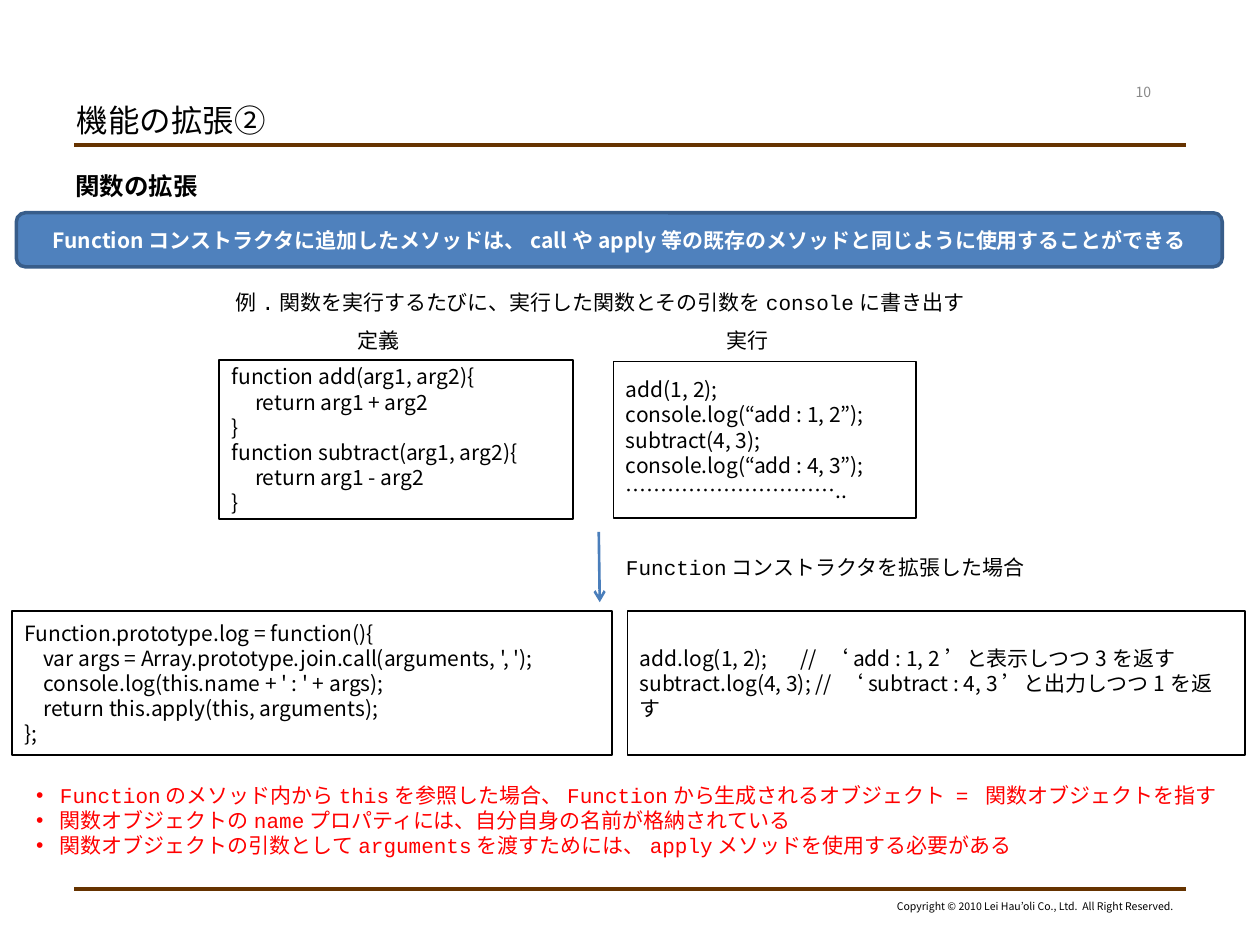
"""Build the slide on extending functions through the Function constructor."""
from lxml import etree
from pptx import Presentation, util as u
from pptx.dml.color import RGBColor
from pptx.enum import shapes, text
from pptx.oxml.ns import qn

BLACK, WHITE, RED, GREY = "000000", "FFFFFF", "FF0000", "898989"
BROWN, BLUE, NAVY, ARROW_BLUE = "663300", "4F81BD", "385D8A", "4A7EBB"
SANS, MONO = "Noto Sans CJK JP", "Courier New"
LEFT, CENTER, RIGHT = text.PP_ALIGN.LEFT, text.PP_ALIGN.CENTER, text.PP_ALIGN.RIGHT
TOP, MIDDLE = text.MSO_ANCHOR.TOP, text.MSO_ANCHOR.MIDDLE


def color(value):
    return RGBColor.from_string(value)


def add_bullet(paragraph, value):
    properties = paragraph._p.get_or_add_pPr()
    properties.set("marL", str(u.Cm(0.48)))
    properties.set("indent", str(-u.Cm(0.48)))
    bullet_color = etree.SubElement(properties, qn("a:buClr"))
    etree.SubElement(bullet_color, qn("a:srgbClr"), val=value)
    etree.SubElement(properties, qn("a:buFont"), typeface="Arial")
    etree.SubElement(properties, qn("a:buChar"), char="•")


def write(shape, lines, size=12, font=SANS, ink=BLACK, bold=False, align=LEFT,
          anchor=TOP, wrap=True, bullets=False):
    frame = shape.text_frame
    frame.word_wrap = wrap
    frame.vertical_anchor = anchor
    for index, line in enumerate(lines.split("\n")):
        paragraph = frame.paragraphs[0] if index == 0 else frame.add_paragraph()
        paragraph.alignment = align
        paragraph.line_spacing = u.Pt(size * 1.2)
        if bullets:
            add_bullet(paragraph, ink)
        run = paragraph.add_run()
        run.text = line
        run.font.name, run.font.size, run.font.bold = font, u.Pt(size), bold
        run.font.color.rgb = color(ink)
        etree.SubElement(run._r.get_or_add_rPr(), qn("a:ea"), typeface=SANS)


class SlideBuilder:
    def __init__(self, slide, font=SANS):
        self.slide = slide
        self.font = font

    def label(self, lines, left, top, width, height, **style):
        shape = self.slide.shapes.add_textbox(*map(u.Cm, (left, top, width, height)))
        write(shape, lines, **{"font": self.font, **style})

    def box(self, lines, left, top, width, height, kind="RECTANGLE", fill=None,
            line=BLACK, weight=1, **style):
        shape = self.slide.shapes.add_shape(
            shapes.MSO_SHAPE[kind], *map(u.Cm, (left, top, width, height)))
        shape.shadow.inherit = False
        if fill:
            shape.fill.solid()
            shape.fill.fore_color.rgb = color(fill)
        else:
            shape.fill.background()
        shape.line.color.rgb = color(line)
        shape.line.width = u.Pt(weight)
        write(shape, lines, **{"font": self.font, "anchor": MIDDLE, **style})

    def line(self, x1, y1, x2, y2, ink, weight, arrow=False):
        connector = self.slide.shapes.add_connector(
            shapes.MSO_CONNECTOR.STRAIGHT, *map(u.Cm, (x1, y1, x2, y2)))
        connector.line.color.rgb = color(ink)
        connector.line.width = u.Pt(weight)
        if arrow:
            etree.SubElement(connector.line._get_or_add_ln(), qn("a:tailEnd"), type="arrow")
        etree.SubElement(connector._element.spPr, qn("a:effectLst"))


DEFINITION = """function add(arg1, arg2){
     return arg1 + arg2
}
function subtract(arg1, arg2){
     return arg1 - arg2
}"""
EXECUTION = """add(1, 2);
console.log(“add : 1, 2”);
subtract(4, 3);
console.log(“add : 4, 3”);
………………………….."""
LOG_METHOD = """Function.prototype.log = function(){
    var args = Array.prototype.join.call(arguments, ', ');
    console.log(this.name + ' : ' + args);
    return this.apply(this, arguments);
};"""
LOG_CALLS = """add.log(1, 2);       // ‘add : 1, 2’と表示しつつ3を返す
subtract.log(4, 3); // ‘subtract : 4, 3’と出力しつつ1を返す"""
NOTES = """Functionのメソッド内からthisを参照した場合、Functionから生成されるオブジェクト = 関数オブジェクトを指す
関数オブジェクトのnameプロパティには、自分自身の名前が格納されている
関数オブジェクトの引数としてargumentsを渡すためには、applyメソッドを使用する必要がある"""
BANNER = "Functionコンストラクタに追加したメソッドは、callやapply等の既存のメソッドと同じように使用することができる"
CAPTIONS = (
    ("例.関数を実行するたびに、実行した関数とその引数をconsoleに書き出す", 4.5, 5.72, 15.21),
    ("定義", 6.96, 6.48, 1.35),
    ("実行", 14.4, 6.48, 1.35),
    ("Functionコンストラクタを拡張した場合", 12.37, 11.05, 8.56),
)
CODE_BOXES = (
    (DEFINITION, 4.42, 7.26, 7.14, 3.2),
    (EXECUTION, 12.37, 7.29, 6.1, 3.15),
    (LOG_METHOD, 0.25, 12.32, 12.09, 2.9),
    (LOG_CALLS, 12.65, 12.32, 12.45, 2.9),
)


def main():
    presentation = Presentation()
    presentation.slide_width, presentation.slide_height = u.Cm(25.4), u.Cm(19.05)
    builder = SlideBuilder(presentation.slides.add_slide(presentation.slide_layouts[6]))

    for y in (2.92, 17.93):
        builder.line(1.5, y, 23.9, y, BROWN, 2.25)
    builder.label("Copyright © 2010 Lei Hau’oli Co., Ltd.  All Right Reserved.",
                  17.75, 18.01, 6.15, 0.51, size=6, align=RIGHT, wrap=False)
    builder.label("機能の拡張②", 1.3, 1.93, 14.43, 0.99, size=18, anchor=MIDDLE)
    builder.label("10", 22.3, 1.55, 1.5, 0.61, size=8, ink=GREY, align=CENTER, anchor=MIDDLE)
    builder.label("関数の拡張", 1.27, 3.33, 22.86, 14.2, size=14, bold=True)
    builder.box(BANNER, 0.33, 4.29, 24.31, 1.09, kind="ROUNDED_RECTANGLE", fill=BLUE,
                line=NAVY, weight=2, ink=WHITE, bold=True, align=CENTER)
    for caption, left, top, width in CAPTIONS:
        builder.label(caption, left, top, width, 0.76, font=MONO, wrap=False)
    for code, *place in CODE_BOXES:
        builder.box(code, *place)
    builder.line(12.07, 10.72, 12.09, 12.14, ARROW_BLUE, 1.5, arrow=True)
    builder.label(NOTES, 0.48, 15.65, 24.31, 1.78, font=MONO, ink=RED, wrap=False, bullets=True)
    presentation.save("out.pptx")


if __name__ == "__main__":
    main()
